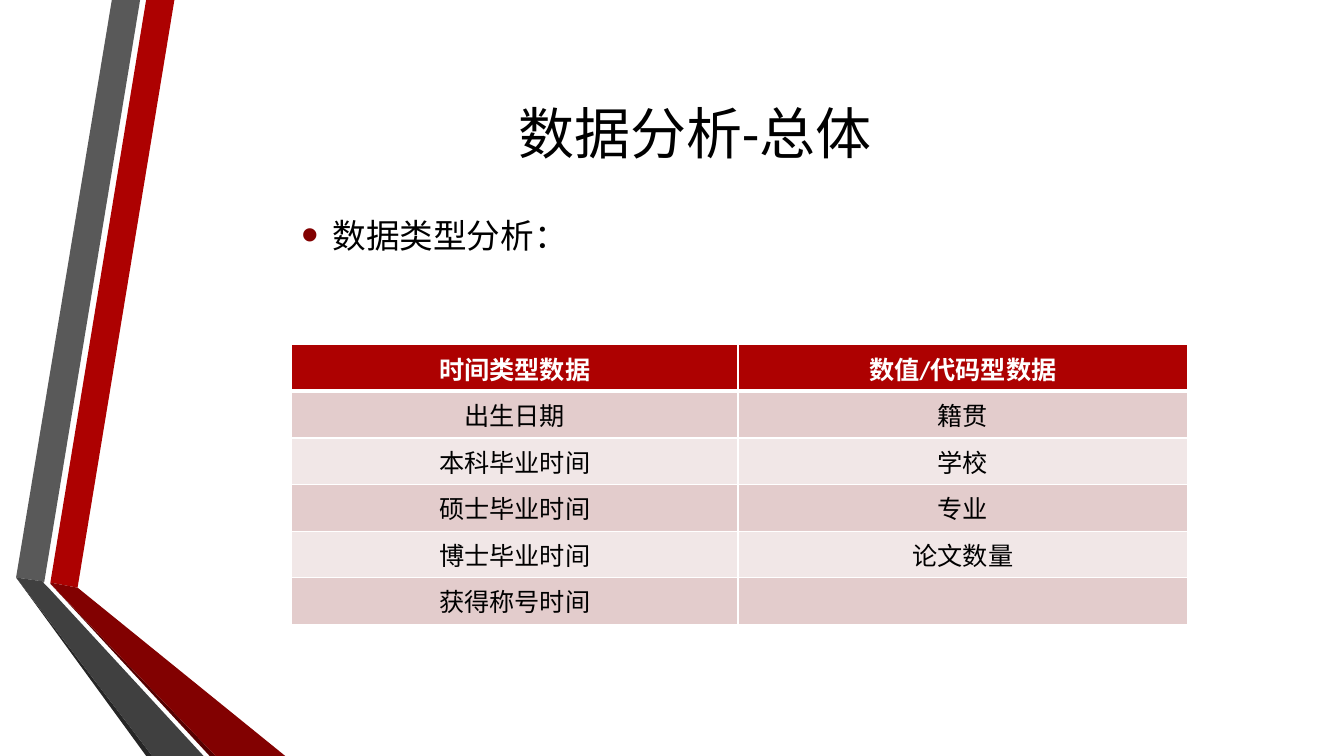
from dataclasses import dataclass

from lxml.etree import SubElement
from pptx import Presentation
from pptx.dml.color import RGBColor
from pptx.enum.text import MSO_ANCHOR as ANCHOR, MSO_AUTO_SIZE as AUTO, PP_ALIGN as ALIGN
from pptx.oxml.ns import qn
from pptx.util import Pt

PX = 9144  # EMU per px, 100 px to the inch
TITLE_ONLY = 5


@dataclass(frozen=True)
class Theme:
    font: str = "Calibri"
    title_size: int = 40
    body_size: int = 24
    cell_size: int = 18
    text: str = "000000"
    light: str = "FFFFFF"
    red: str = "AD0101"
    red_fold: str = "820101"
    red_edge: str = "560000"
    grey: str = "595959"
    grey_fold: str = "404040"
    grey_edge: str = "262626"
    bands: tuple = ("E3CCCC", "F1E7E7")


T = Theme()

RIBBONS = [
    (T.red, [(50, 578), (77, 583), (173, 0), (145, 0)]),
    (T.grey, [(139, 0), (111, 0), (16, 573), (44, 577)]),
    (T.grey_edge, [(16, 573), (145, 750), (151, 750)]),
    (T.red_edge, [(50, 579), (208, 750), (214, 750)]),
    (T.red_fold, [(50, 579), (214, 750), (283, 750), (77, 583), (50, 578)]),
    (T.grey_fold, [(202, 750), (48, 583), (43, 578), (44, 577), (16, 573), (151, 750)]),
]

DATA_TYPES = [
    ("时间类型数据", "数值/代码型数据"),
    ("出生日期", "籍贯"),
    ("本科毕业时间", "学校"),
    ("硕士毕业时间", "专业"),
    ("博士毕业时间", "论文数量"),
    ("获得称号时间", ""),
]


def set_attrs(obj, values):
    for name, value in values.items():
        setattr(obj, name, value)


class SlideBuilder:
    def __init__(self, prs, theme):
        self.theme = theme
        self.s = prs.slides.add_slide(prs.slide_layouts[TITLE_ONLY])

    def add_text(self, tf, text, size, color, align, bold=False):
        p = tf.paragraphs[0]
        p.alignment = align
        r = p.add_run()
        r.text = text
        set_attrs(r.font, {"name": self.theme.font, "size": Pt(size), "bold": bold})
        r.font.color.rgb = RGBColor.from_string(color)
        return p

    def frame(self, sp):
        """Give a text shape wrapping, middle anchoring and a fixed size."""
        tf = sp.text_frame
        set_attrs(tf, {"word_wrap": True, "auto_size": AUTO.NONE,
                       "vertical_anchor": ANCHOR.MIDDLE})
        return tf

    def title(self, text, left, top, width, height):
        sp = self.s.shapes.title
        set_attrs(sp, {"left": left * PX, "top": top * PX,
                       "width": width * PX, "height": height * PX})
        self.add_text(self.frame(sp), text, self.theme.title_size, self.theme.text, ALIGN.CENTER)
        self.s.shapes.element.append(sp.element)  # in front of the ribbons

    def polygon(self, color, points):
        start, *rest = points
        builder = self.s.shapes.build_freeform(*start, scale=PX)
        builder.add_line_segments(rest, close=True)
        sp = builder.convert_to_shape()
        sp.shadow.inherit = False
        sp.fill.solid()
        sp.fill.fore_color.rgb = RGBColor.from_string(color)
        sp.line.fill.background()

    def bullet(self, text, left, top, width, height, indent):
        sp = self.s.shapes.add_textbox(left * PX, top * PX, width * PX, height * PX)
        p = self.add_text(self.frame(sp), text, self.theme.body_size, self.theme.text, ALIGN.LEFT)
        pPr = p._p.get_or_add_pPr()
        pPr.set("marL", str(indent * PX))
        pPr.set("indent", str(-indent * PX))
        color = SubElement(pPr, qn("a:buClr"))
        SubElement(color, qn("a:srgbClr"), val=self.theme.red_fold)
        SubElement(pPr, qn("a:buSzPct"), val="145000")
        SubElement(pPr, qn("a:buFont"), typeface="Arial")
        SubElement(pPr, qn("a:buChar"), char="•")

    def borders(self, cell, widths):
        tcPr = cell._tc.get_or_add_tcPr()
        for side, width in widths.items():
            ln = SubElement(tcPr, qn(f"a:ln{side}"), w=str(Pt(width)))
            fill = SubElement(ln, qn("a:solidFill"))
            SubElement(fill, qn("a:srgbClr"), val=self.theme.light)

    def table(self, rows, left, top, col_widths, row_height):
        th = self.theme
        table = self.s.shapes.add_table(
            len(rows), len(col_widths), left * PX, top * PX,
            sum(col_widths) * PX, len(rows) * row_height * PX).table
        for column, width in zip(table.columns, col_widths):
            column.width = width * PX
        for i, texts in enumerate(rows):
            header = i == 0
            fill = th.red if header else th.bands[(i - 1) % 2]
            color = th.light if header else th.text
            widths = {"L": 1, "R": 1, "T": 3 if i == 1 else 1, "B": 3 if header else 1}
            for j, text in enumerate(texts):
                cell = table.cell(i, j)
                self.borders(cell, widths)
                cell.fill.solid()
                cell.fill.fore_color.rgb = RGBColor.from_string(fill)
                if text:
                    self.add_text(cell.text_frame, text, th.cell_size, color,
                                  ALIGN.CENTER, header)


def main():
    prs = Presentation()
    set_attrs(prs, {"slide_width": 1333 * PX, "slide_height": 750 * PX})
    slide = SlideBuilder(prs, T)
    for color, points in RIBBONS:
        slide.polygon(color, points)
    slide.title("数据分析-总体", 141, 35, 1096, 192)
    slide.bullet("数据类型分析：", 289, 168, 1044, 130, indent=31)
    slide.table(DATA_TYPES, 289, 342, col_widths=(443, 446), row_height=41)
    prs.save("out.pptx")


if __name__ == "__main__":
    main()
